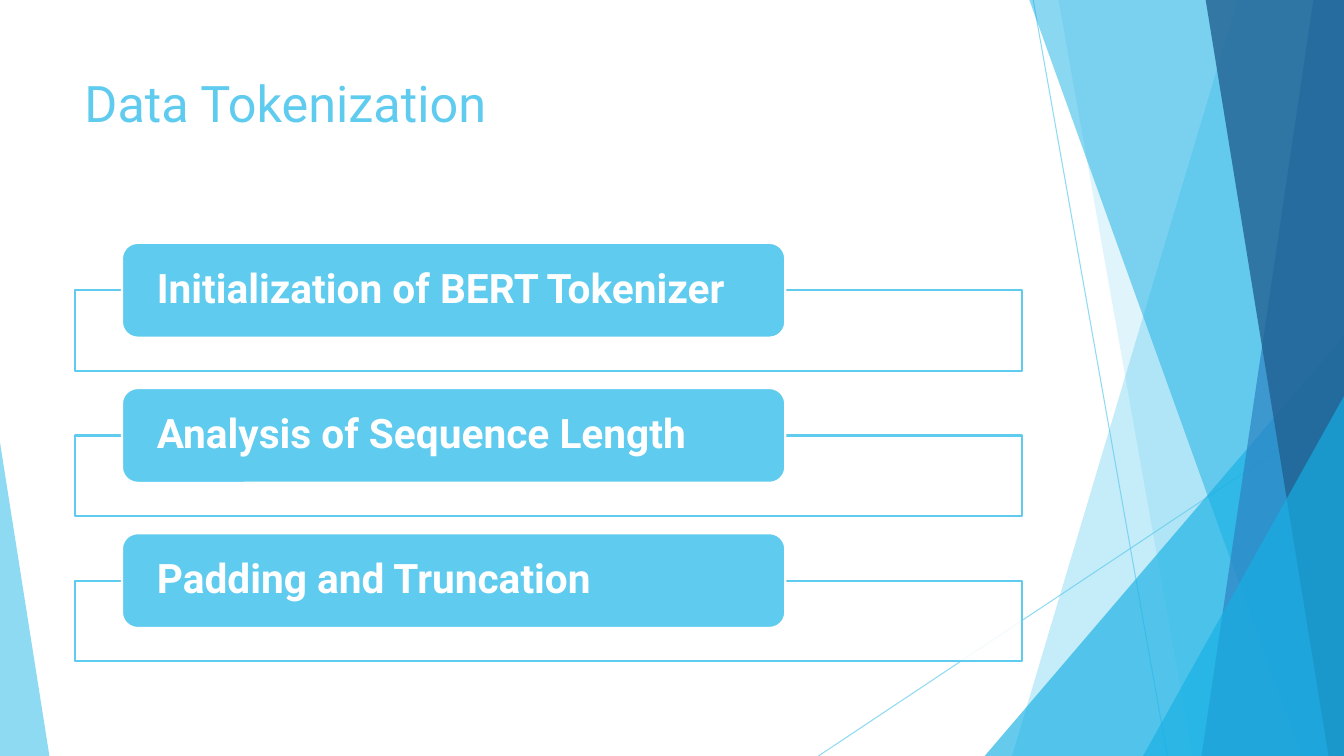
from pptx import Presentation
from pptx.dml.color import RGBColor
from pptx.enum.shapes import MSO_CONNECTOR, MSO_SHAPE
from pptx.enum.text import MSO_ANCHOR, PP_ALIGN
from pptx.oxml.ns import qn
from pptx.oxml.xmlchemy import OxmlElement
from pptx.util import Pt

STRAIGHT = MSO_CONNECTOR.STRAIGHT
RECT = MSO_SHAPE.RECTANGLE
ROUNDED = MSO_SHAPE.ROUNDED_RECTANGLE
TRIANGLE = MSO_SHAPE.ISOSCELES_TRIANGLE
TOP = MSO_ANCHOR.TOP
MIDDLE = MSO_ANCHOR.MIDDLE
LEFT = PP_ALIGN.LEFT

WIDTH, HEIGHT = 960, 540
FONT = "Roboto"
SKY, CYAN, BLUE, NAVY, WHITE = "5FCBEF", "17B0E4", "2E83C3", "226292", "FFFFFF"

STEPS = [
    "Initialization of BERT Tokenizer",
    "Analysis of Sequence Length",
    "Padding and Truncation",
]
STEP_TOP, STEP_PITCH = 173.5, 103.7
FRAME_OFFSET = 33.9


def paint(fill, color, opacity=100):
    fill.solid()
    fill.fore_color.rgb = RGBColor.from_string(color)
    if opacity < 100:
        alpha = OxmlElement("a:alpha")
        alpha.set("val", str(opacity * 1000))
        fill._xPr.find(qn("a:solidFill"))[0].append(alpha)


def style(sp, color, opacity=100, line=None):
    sp.shadow.inherit = False
    paint(sp.fill, color, opacity)
    if line:
        paint(sp.line.fill, line)
        sp.line.width = Pt(1.5)
    else:
        sp.line.fill.background()


def add_thin_line(s, x1, y1, x2, y2):
    cx = s.shapes.add_connector(STRAIGHT, Pt(x1), Pt(y1), Pt(x2), Pt(y2))
    paint(cx.line.fill, SKY, 70)
    cx.line.width = Pt(0.75)
    cx._element.spPr.append(OxmlElement("a:effectLst"))


def add_facet(s, top_x, bottom_x, color, opacity):
    top = Pt(-0.6)
    fb = s.shapes.build_freeform(Pt(top_x), top)
    fb.add_line_segments([
        (Pt(WIDTH), top),
        (Pt(WIDTH), Pt(HEIGHT)),
        (Pt(bottom_x), Pt(HEIGHT)),
    ], close=True)
    style(fb.convert_to_shape(), color, opacity)


def add_box(s, kind, x, y, w, h, color, opacity=100, line=None):
    sp = s.shapes.add_shape(kind, Pt(x), Pt(y), Pt(w), Pt(h))
    style(sp, color, opacity, line)
    return sp


def add_corner(s, x, y, w, apex, color, opacity):
    sp = add_box(s, TRIANGLE, x, y, w, HEIGHT - y, color, opacity)
    sp.adjustments[0] = apex


def write(tf, text, size, color, anchor, bold=False):
    tf.word_wrap = True
    tf.vertical_anchor = anchor
    p = tf.paragraphs[0]
    p.alignment = LEFT
    r = p.add_run()
    r.text = text
    r.font.name = FONT
    r.font.size = Pt(size)
    r.font.bold = bold
    r.font.color.rgb = RGBColor.from_string(color)
    return p


def add_title(s, text):
    sp = s.shapes.add_textbox(Pt(53.3), Pt(48.2), Pt(676.8), Pt(152))
    write(sp.text_frame, text, 36, SKY, TOP)


def add_step(s, y, text):
    add_box(s, RECT, 53.3, y + FRAME_OFFSET, 676.8, 57.6, WHITE, 90, SKY)
    sp = add_box(s, ROUNDED, 87.1, y, 473.8, 67.7, SKY, line=WHITE)
    tf = sp.text_frame
    tf.margin_left = tf.margin_right = Pt(21.6)
    tf.margin_top = tf.margin_bottom = 0
    p = write(tf, text, 29, WHITE, MIDDLE, bold=True)
    p.line_spacing = 0.9


def add_backdrop(s):
    add_thin_line(s, 738, 0, 833.8, HEIGHT)
    add_thin_line(s, WIDTH, 290.2, 584.6, HEIGHT)
    add_facet(s, 884.2, 722.9, SKY, 36)
    add_facet(s, 756, 851.8, SKY, 20)
    add_corner(s, 703.4, 239.8, 256.6, 1, CYAN, 66)
    add_facet(s, 735.1, 929.5, CYAN, 50)
    add_facet(s, 938.2, 858.2, BLUE, 70)
    add_facet(s, 861.1, 949, NAVY, 80)
    add_corner(s, 816.5, 283, 143.5, 1, CYAN, 66)
    add_corner(s, 0, 316.1, 35.3, 0, SKY, 70)


def main():
    prs = Presentation()
    prs.slide_width, prs.slide_height = Pt(WIDTH), Pt(HEIGHT)
    s = prs.slides.add_slide(prs.slide_layouts[6])
    add_backdrop(s)
    add_title(s, "Data Tokenization")
    for i, text in enumerate(STEPS):
        add_step(s, STEP_TOP + i * STEP_PITCH, text)
    prs.save("out.pptx")


if __name__ == "__main__":
    main()
